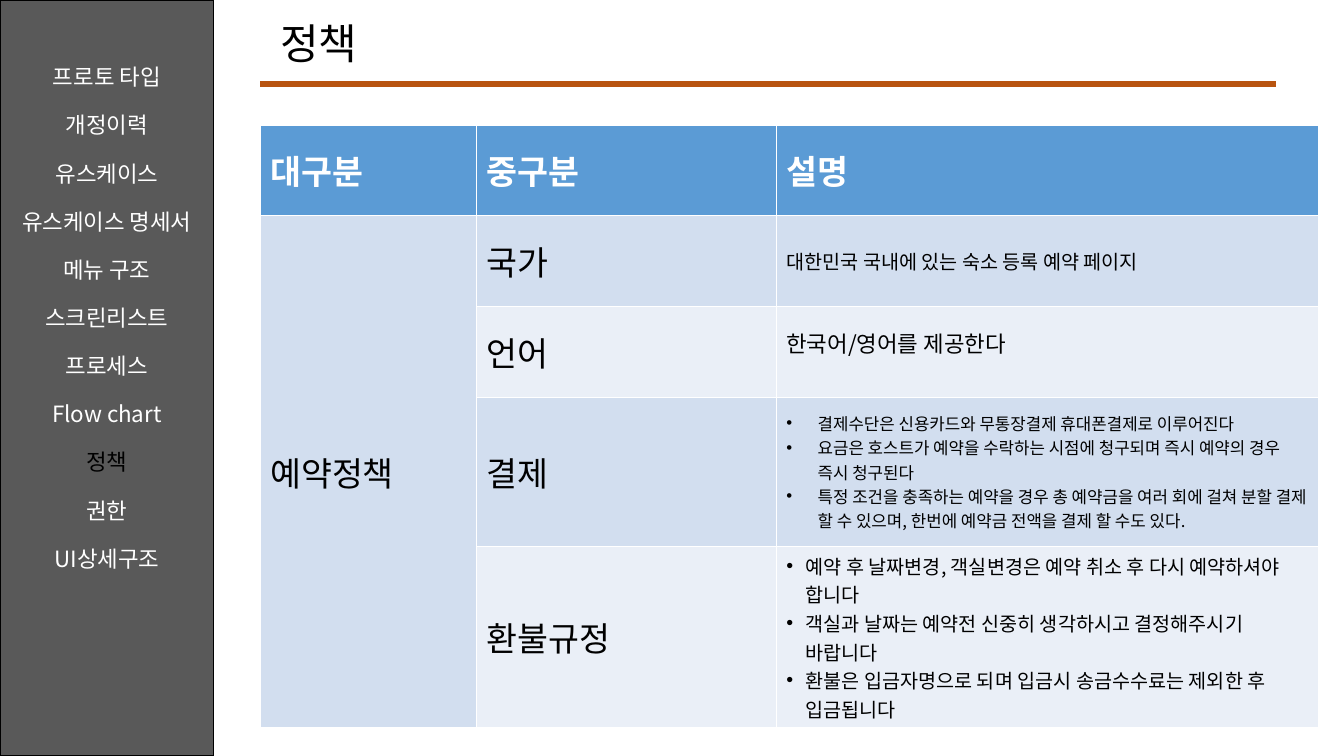
from pptx import Presentation
from pptx.dml.color import RGBColor
from pptx.enum.shapes import MSO_CONNECTOR, MSO_SHAPE
from pptx.enum.text import MSO_ANCHOR as ANCHOR, MSO_AUTO_SIZE, PP_ALIGN as ALIGN
from pptx.oxml.ns import qn
from pptx.util import Inches, Pt
from lxml.etree import SubElement

FONT = "Noto Sans CJK KR"
WHITE = RGBColor(0xFF, 0xFF, 0xFF)
BLACK = RGBColor(0, 0, 0)
GRAY = RGBColor(0x59, 0x59, 0x59)
ORANGE = RGBColor(0xB8, 0x54, 0x10)
BLUE = RGBColor(0x5B, 0x9B, 0xD5)
BAND_DARK = RGBColor(0xD2, 0xDE, 0xEF)
BAND_LIGHT = RGBColor(0xEA, 0xEF, 0xF7)

MENU = ["프로토 타입", "개정이력", "유스케이스", "유스케이스 명세서", "메뉴 구조",
        "스크린리스트", "프로세스", "Flow chart", "정책", "권한", "UI상세구조"]
CURRENT = "정책"
LEFT = 2.58
COLS = [2.15, 2.97, 5.38]
ROWS = [0.9, 0.9, 0.9, 1.48, 1.48]
HEADER = ["대구분", "중구분", "설명"]
# name, description paragraphs, size, bullet indent
POLICIES = [
    ("국가", ["대한민국 국내에 있는 숙소 등록 예약 페이지"], 14, 0),
    ("언어", ["한국어/영어를 제공한다"], 16, 0),
    ("결제", ["결제수단은 신용카드와 무통장결제 휴대폰결제로 이루어진다",
            "요금은 호스트가 예약을 수락하는 시점에 청구되며 즉시 예약의 경우 즉시 청구된다",
            "특정 조건을 충족하는 예약을 경우 총 예약금을 여러 회에 걸쳐 분할 결제 할 수 있으며, "
            "한번에 예약금 전액을 결제 할 수도 있다."], 12, 0.31),
    ("환불규정", ["예약 후 날짜변경, 객실변경은 예약 취소 후 다시 예약하셔야 합니다",
              "객실과 날짜는 예약전 신중히 생각하시고 결정해주시기 바랍니다",
              "환불은 입금자명으로 되며 입금시 송금수수료는 제외한 후 입금됩니다"], 14, 0.19),
]


def write(tf, lines, size=24, color=BLACK, bold=False, align=ALIGN.LEFT, gap=0, indent=0,
          current=None):
    for i, line in enumerate(lines):
        p = tf.paragraphs[0] if i == 0 else tf.add_paragraph()
        p.alignment = align
        p.space_before = Pt(gap if i else 0)
        if indent:
            pPr = p._p.get_or_add_pPr()
            pPr.set("marL", str(Inches(indent)))
            pPr.set("indent", str(-Inches(indent)))
            SubElement(pPr, qn("a:buFont"), typeface="Arial")
            SubElement(pPr, qn("a:buChar"), char="•")
        r = p.add_run()
        r.text = line
        r.font.size, r.font.bold, r.font.name = Pt(size), bold, FONT
        r.font.color.rgb = BLACK if line == current else color
        SubElement(r._r.get_or_add_rPr(), qn("a:ea"), typeface=FONT)


prs = Presentation()
prs.slide_width, prs.slide_height = Inches(13.33), Inches(7.5)
s = prs.slides.add_slide(prs.slide_layouts[5])

# Title
title = s.shapes.title
title.left, title.top = Inches(2.68), Inches(0.12)
title.width, title.height = Inches(8), Inches(0.61)
tf = title.text_frame
tf.auto_size, tf.vertical_anchor = MSO_AUTO_SIZE.NONE, ANCHOR.TOP
write(tf, ["정책"], size=30)

# Rule under the title
rule = s.shapes.add_connector(MSO_CONNECTOR.STRAIGHT, Inches(LEFT), Inches(0.83),
                              Inches(12.66), Inches(0.83))
rule.line.color.rgb, rule.line.width = ORANGE, Pt(4.5)
SubElement(rule._element.spPr, qn("a:effectLst"))

# Side menu
bar = s.shapes.add_shape(MSO_SHAPE.RECTANGLE, 0, 0, Inches(2.12), prs.slide_height)
bar.shadow.inherit = False
bar.fill.solid()
bar.fill.fore_color.rgb = GRAY
bar.line.color.rgb, bar.line.width = BLACK, Pt(1)
tf = bar.text_frame
tf.word_wrap, tf.vertical_anchor, tf.margin_top = True, ANCHOR.TOP, Inches(0.63)
write(tf, MENU, size=16, color=WHITE, align=ALIGN.CENTER, gap=15.2, current=CURRENT)

# Policy table
table = s.shapes.add_table(len(ROWS), len(COLS), Inches(LEFT), Inches(1.24),
                           Inches(sum(COLS)), Inches(sum(ROWS))).table
for col, width in zip(table.columns, COLS):
    col.width = Inches(width)
for i, (row, height) in enumerate(zip(table.rows, ROWS)):
    row.height = Inches(height)
    for j, cell in enumerate(row.cells):
        cell.vertical_anchor = ANCHOR.MIDDLE
        cell.fill.solid()
        band = BAND_DARK if i % 2 or j == 0 else BAND_LIGHT
        cell.fill.fore_color.rgb = band if i else BLUE

for j, name in enumerate(HEADER):
    write(table.cell(0, j).text_frame, [name], color=WHITE, bold=True)
table.cell(1, 0).merge(table.cell(len(POLICIES), 0))
write(table.cell(1, 0).text_frame, ["예약정책"])
for i, (name, lines, size, indent) in enumerate(POLICIES, 1):
    write(table.cell(i, 1).text_frame, [name])
    write(table.cell(i, 2).text_frame, lines, size=size, indent=indent)
table.cell(2, 2).margin_bottom = Inches(0.23)

prs.save("out.pptx")
